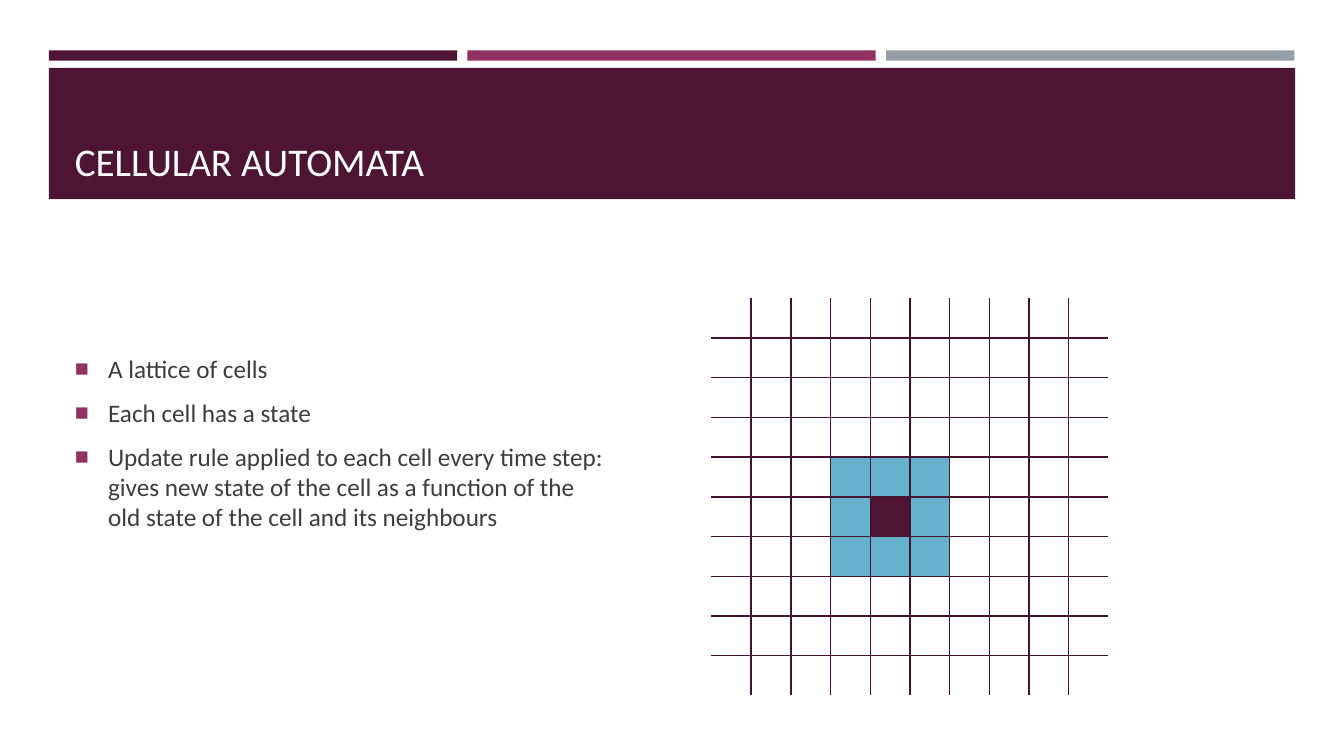
from lxml.etree import SubElement
from pptx import Presentation
from pptx.dml.color import RGBColor
from pptx.enum.shapes import MSO_CONNECTOR, MSO_SHAPE
from pptx.enum.text import MSO_ANCHOR, MSO_AUTO_SIZE, PP_ALIGN
from pptx.oxml.ns import qn
from pptx.util import Pt

PX = 3600  # EMU per px, 254 px to the inch
FONT = "Calibri"
COLORS = {
    "plum": "4D1434",
    "magenta": "903163",
    "grey": "969FA7",
    "blue": "66B1CE",
    "grid": "45122F",
    "text": "3D3D3D",
    "white": "FFFFFF",
}
BULLETS = [
    ["A lattice of cells"],
    ["Each cell has a state"],
    ["Update rule applied to each cell every time step:",
     "gives new state of the cell as a function of the old state of the cell and its neighbours"],
]


def color(name):
    return RGBColor.from_string(COLORS[name])


def add_block(page, left, top, width, height, fill):
    block = page.shapes.add_shape(
        MSO_SHAPE.RECTANGLE, left * PX, top * PX, width * PX, height * PX)
    block.shadow.inherit = False
    block.fill.solid()
    block.fill.fore_color.rgb = color(fill)
    block.line.fill.background()


def add_line(page, x1, y1, x2, y2):
    line = page.shapes.add_connector(
        MSO_CONNECTOR.STRAIGHT, x1 * PX, y1 * PX, x2 * PX, y2 * PX)
    line.line.color.rgb = color("grid")
    line.line.width = Pt(1)
    SubElement(line._element.spPr, qn("a:effectLst"))


def place_text(page, holder, left, top, width, height, anchor):
    """Move a placeholder in front of the shapes drawn so far."""
    page.shapes._spTree.append(holder._element)
    holder.left, holder.top = left * PX, top * PX
    holder.width, holder.height = width * PX, height * PX
    frame = holder.text_frame
    frame.word_wrap = True
    frame.auto_size = MSO_AUTO_SIZE.NONE
    frame.vertical_anchor = anchor
    return frame


def add_span(para, text, size, name):
    span = para.add_run()
    span.text = text
    span.font.name = FONT
    span.font.size = Pt(size)
    span.font.color.rgb = color(name)


def set_bullet(para):
    props = para._p.get_or_add_pPr()
    props.set("marL", str(84 * PX))
    props.set("indent", str(-84 * PX))
    tint = SubElement(props, qn("a:buClr"))
    SubElement(tint, qn("a:srgbClr"), val=COLORS["magenta"])
    SubElement(props, qn("a:buSzPct"), val="92000")
    SubElement(props, qn("a:buFont"), typeface="Arial")
    SubElement(props, qn("a:buChar"), char="■")


def add_bullets(frame, items):
    for index, lines in enumerate(items):
        para = frame.add_paragraph() if index else frame.paragraphs[0]
        set_bullet(para)
        para.space_before = Pt(3.6 if index else 0)
        para.space_after = Pt(6)
        for number, text in enumerate(lines):
            if number:
                para.add_line_break()
            add_span(para, text, 18, "text")


def add_lattice(page, left, top, cell, count):
    size = cell * count
    for step in range(1, count):
        x, y = left + step * cell, top + step * cell
        add_line(page, x, top, x, top + size)
        add_line(page, left, y, left + size, y)


def main():
    deck = Presentation()
    deck.slide_width, deck.slide_height = 3387 * PX, 1905 * PX
    page = deck.slides.add_slide(deck.slide_layouts[1])

    # Header bars and banner
    for index, name in enumerate(["plum", "magenta", "grey"]):
        add_block(page, 123 + index * 1055, 127, 1029, 26, name)
    add_block(page, 123, 171, 3141, 331, "plum")

    # Cell and its neighbourhood
    left, top, cell = 1793, 752, 100
    add_block(page, left + 3 * cell, top + 4 * cell, 3 * cell, 3 * cell, "blue")
    add_block(page, left + 4 * cell, top + 5 * cell, cell, cell, "plum")

    # Title and list
    title = place_text(page, page.shapes.title, 163, 196, 3063, 282, MSO_ANCHOR.BOTTOM)
    title.paragraphs[0].alignment = PP_ALIGN.LEFT
    add_span(title.paragraphs[0], "CELLULAR AUTOMATA", 28, "white")
    body = place_text(page, page.placeholders[1], 163, 605, 1394, 1021, MSO_ANCHOR.MIDDLE)
    add_bullets(body, BULLETS)

    # Lattice lines
    add_lattice(page, left, top, cell, 10)

    deck.save("out.pptx")


if __name__ == "__main__":
    main()
